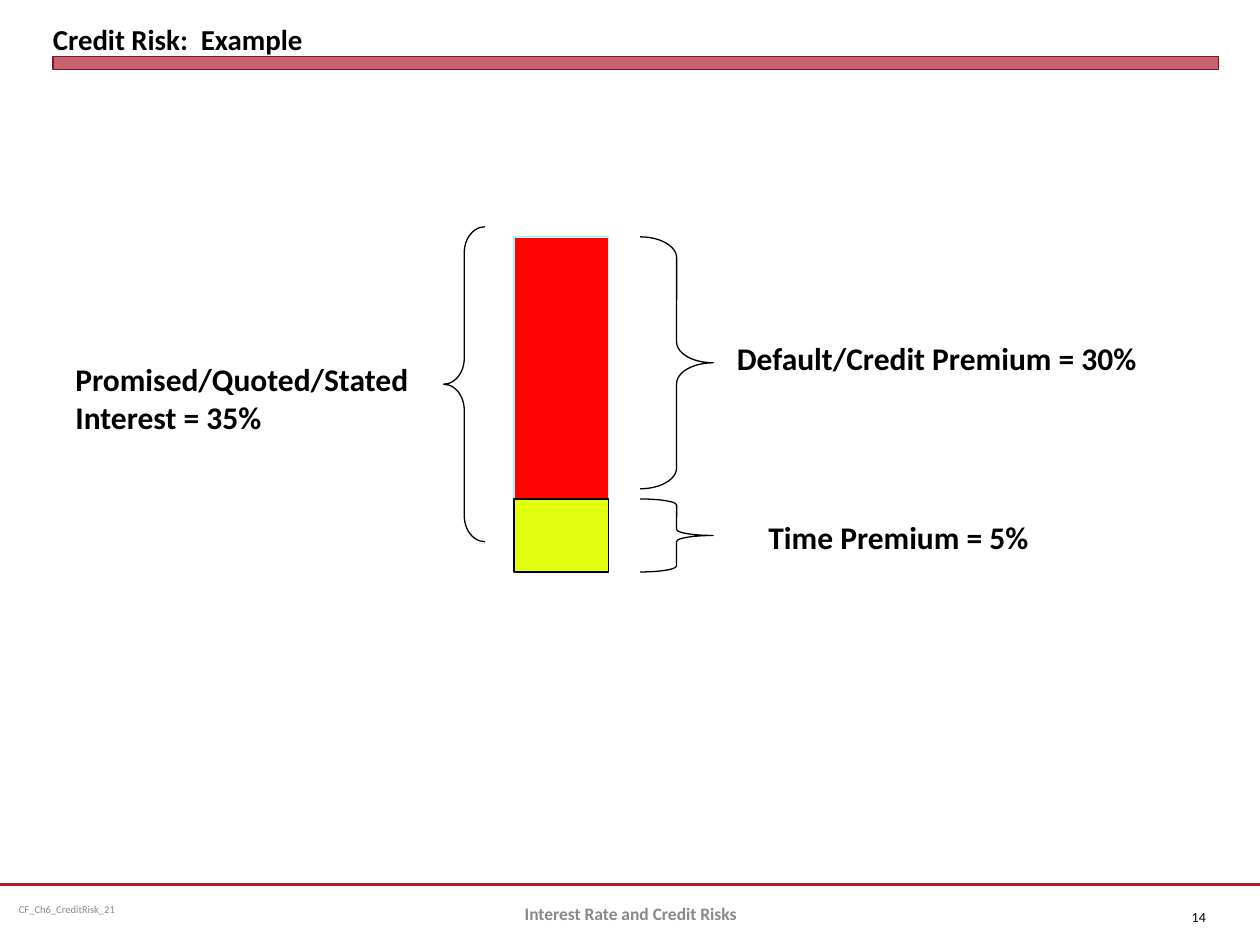
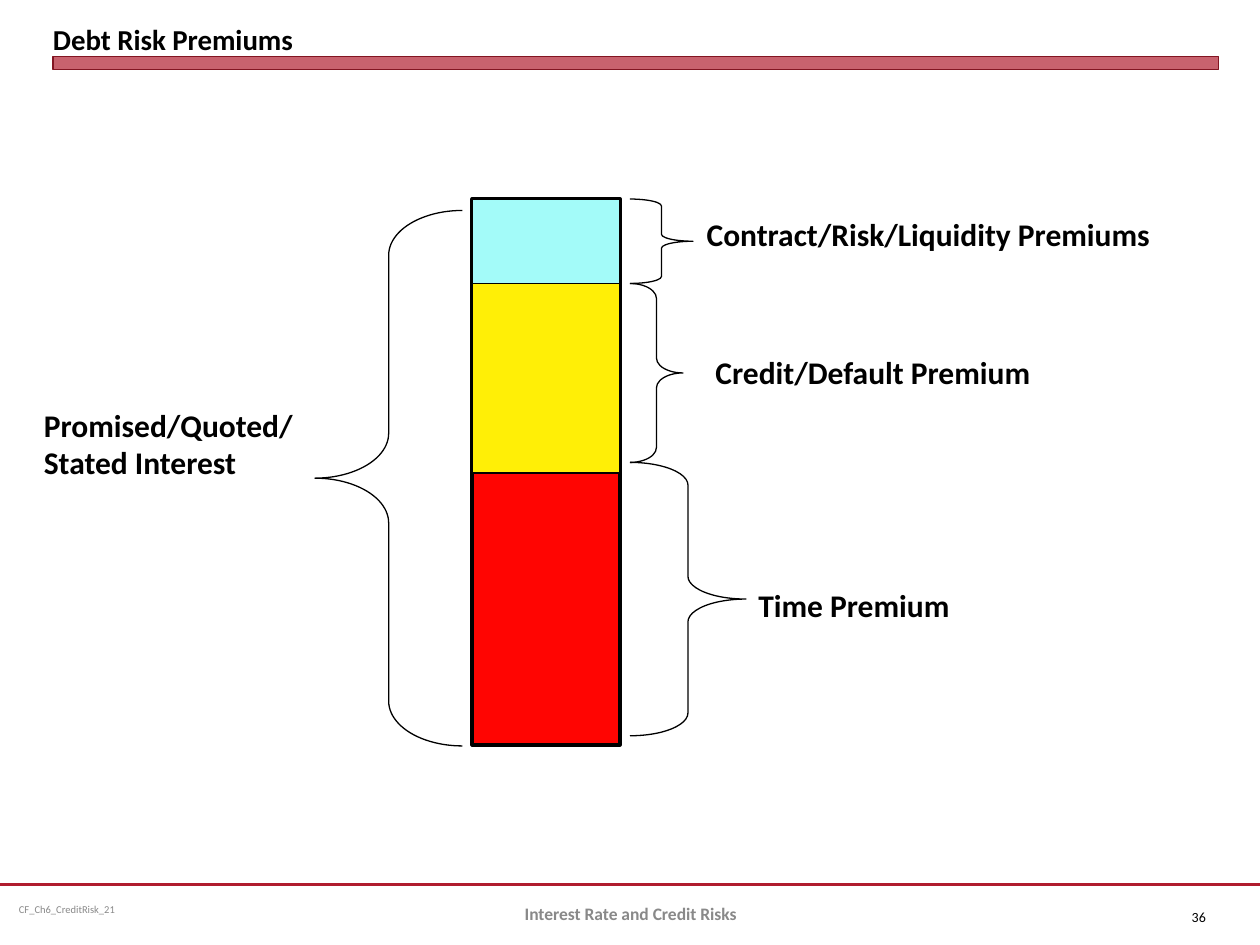
from dataclasses import dataclass

from lxml import etree
from pptx import Presentation
from pptx import util as u
from pptx.dml.color import RGBColor
from pptx.enum import shapes, text
from pptx.oxml.ns import qn


@dataclass(frozen=True)
class Theme:
    font: str = "Calibri"
    black: str = "000000"
    grey: str = "898989"
    crimson: str = "B01C2E"
    dark_crimson: str = "821522"
    red: str = "FF0502"
    lime: str = "E3FF10"
    yellow: str = "FFEF06"
    aqua: str = "A3FBF9"
    title_size: float = 16.5
    label_size: float = 18
    footer_size: float = 10
    number_size: float = 8
    code_size: float = 6
    thin: float = 0.75
    rule: float = 1.25
    divider: float = 2
    thick: float = 2.25


THEME = Theme()
FOOTER = "Interest Rate and Credit Risks"
FILE_CODE = "CF_Ch6_CreditRisk_21"
ALIGN = text.PP_ALIGN
ANCHOR = text.MSO_ANCHOR
LEFT_BRACE = shapes.MSO_SHAPE.LEFT_BRACE
RIGHT_BRACE = shapes.MSO_SHAPE.RIGHT_BRACE


def rgb(color):
    return RGBColor.from_string(color)


def inches(*lengths):
    return [u.Inches(length) for length in lengths]


def add_text(slide, box, lines, size, color=THEME.black, bold=False,
             align=ALIGN.LEFT, anchor=ANCHOR.MIDDLE, insets=(0.1, 0.05), wrap=True):
    """Add a text box with one paragraph per line; insets are (sides, top and bottom)."""
    sp = slide.shapes.add_textbox(*inches(*box))
    tf = sp.text_frame
    tf.word_wrap = wrap
    tf.vertical_anchor = anchor
    tf.margin_left = tf.margin_right = u.Inches(insets[0])
    tf.margin_top = tf.margin_bottom = u.Inches(insets[1])
    for i, line in enumerate(lines):
        p = tf.paragraphs[0] if i == 0 else tf.add_paragraph()
        p.alignment = align
        r = p.add_run()
        r.text = line
        r.font.name = THEME.font
        r.font.size = u.Pt(size)
        r.font.bold = bold
        r.font.color.rgb = rgb(color)
    return sp


def add_label(slide, box, *lines, wrap=True):
    sp = add_text(slide, box, lines, THEME.label_size, bold=True,
                  anchor=ANCHOR.TOP, wrap=wrap)
    sp.text_frame.auto_size = text.MSO_AUTO_SIZE.SHAPE_TO_FIT_TEXT


def add_block(slide, box, fill, line=THEME.black, width=THEME.thin):
    sp = slide.shapes.add_shape(shapes.MSO_SHAPE.RECTANGLE, *inches(*box))
    sp.shadow.inherit = False
    sp.fill.solid()
    sp.fill.fore_color.rgb = rgb(fill)
    sp.line.color.rgb = rgb(line)
    sp.line.width = u.Pt(width)
    return sp


def add_brace(slide, kind, box, curl):
    sp = slide.shapes.add_shape(kind, *inches(*box))
    sp.shadow.inherit = False
    sp.adjustments[0] = curl
    sp.adjustments[1] = 0.5
    sp.fill.background()
    sp.line.color.rgb = rgb(THEME.black)
    sp.line.width = u.Pt(THEME.thin)


def add_rule(slide, left, right, y, color, width):
    """Add a horizontal line."""
    cxn = slide.shapes.add_connector(shapes.MSO_CONNECTOR.STRAIGHT,
                                     *inches(left, y, right, y))
    cxn.line.color.rgb = rgb(color)
    cxn.line.width = u.Pt(width)
    etree.SubElement(cxn._element.spPr, qn("a:effectLst"))


def add_title_band(slide):
    band = add_block(slide, (0.42, 0.45, 9.25, 0.1), THEME.crimson,
                     THEME.dark_crimson, 0)
    color = band._element.spPr.find(qn("a:solidFill"))[0]
    etree.SubElement(color, qn("a:alpha"), val="69000")


def new_slide(prs, title, number):
    """Add a slide with the shared title, band and footer."""
    slide = prs.slides.add_slide(prs.slide_layouts[6])
    add_rule(slide, 0, 10, 7.02, THEME.crimson, THEME.rule)
    add_text(slide, (0.08, 7.02, 2.58, 0.4), [FILE_CODE], THEME.code_size,
             THEME.grey, insets=(0.07, 0.04))
    add_title_band(slide)
    add_text(slide, (0.42, 0.05, 9.25, 0.4), [title], THEME.title_size, bold=True,
             anchor=ANCHOR.BOTTOM, insets=(0, 0))
    add_text(slide, (9.17, 7.08, 0.5, 0.4), [str(number)], THEME.number_size,
             align=ALIGN.RIGHT)
    add_text(slide, (3.42, 7.05, 3.17, 0.4), [FOOTER], THEME.footer_size,
             THEME.grey, bold=True, align=ALIGN.CENTER)
    return slide


def credit_risk_example(prs):
    slide = new_slide(prs, "Credit Risk:  Example", 14)
    left, width, top, split = 4.08, 0.75, 1.88, 3.96
    brace_left, brace_width, time_height = 5.08, 0.58, 0.58

    add_block(slide, (left, top, width, split - top), THEME.red, THEME.aqua)
    add_block(slide, (left, split, width, time_height), THEME.lime)

    add_brace(slide, LEFT_BRACE, (3.52, 1.8, 0.33, 2.5), 0.625)
    add_brace(slide, RIGHT_BRACE, (brace_left, top, brace_width, 2), 0.286)
    add_brace(slide, RIGHT_BRACE, (brace_left, split, brace_width, time_height), 0.083)

    add_label(slide, (0.5, 2.81, 2.92, 0.71), "Promised/Quoted/Stated Interest = 35%")
    add_label(slide, (5.75, 2.64, 3.42, 0.4), "Default/Credit Premium = 30%", wrap=False)
    add_label(slide, (6, 4.06, 2.29, 0.4), "Time Premium = 5%", wrap=False)


def debt_risk_premiums(prs):
    slide = new_slide(prs, "Debt Risk Premiums", 36)
    left, width = 3.75, 1.17
    top, credit_top, time_top = 1.58, 2.25, 3.75

    add_block(slide, (left, top, width, 4.33), THEME.red, width=THEME.thick)
    add_rule(slide, left, left + width, time_top, THEME.black, THEME.thick)
    add_rule(slide, left, left + width, credit_top, THEME.black, THEME.divider)
    add_block(slide, (left, credit_top, width, time_top - credit_top), THEME.yellow)
    add_block(slide, (left, top, width, credit_top - top), THEME.aqua)

    add_brace(slide, LEFT_BRACE, (2.5, 1.67, 1.17, 4.25), 0.304)
    for brace_top, brace_width, height, curl in (
            (top, 0.5, 0.67, 0.111),
            (credit_top, 0.42, 1.42, 0.283),
            (3.67, 0.92, 2.17, 0.197)):
        add_brace(slide, RIGHT_BRACE, (5, brace_top, brace_width, height), curl)

    add_label(slide, (0.25, 3.17, 2.47, 0.7), "Promised/Quoted/", "Stated Interest")
    add_label(slide, (5.51, 1.66, 4.33, 0.4), "Contract/Risk/Liquidity Premiums")
    add_label(slide, (5.58, 2.75, 3.42, 0.4), "Credit/Default Premium")
    add_label(slide, (5.92, 4.6, 2.47, 0.4), "Time Premium")


def main():
    prs = Presentation()
    prs.slide_width, prs.slide_height = inches(10, 7.5)
    credit_risk_example(prs)
    debt_risk_premiums(prs)
    prs.save("out.pptx")


if __name__ == "__main__":
    main()
